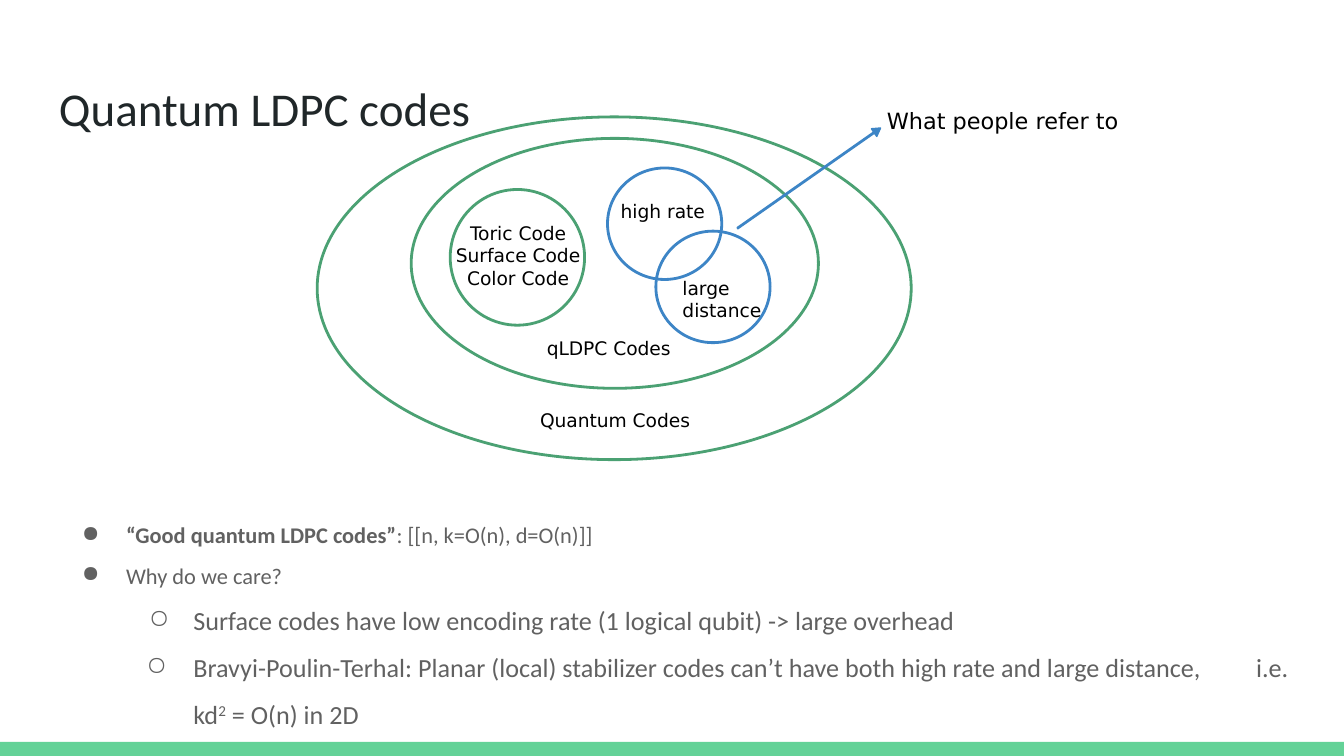
from lxml import etree
from pptx import Presentation
from pptx import util as u
from pptx.dml.color import RGBColor
from pptx.enum import shapes, text
from pptx.oxml.ns import qn

HUES = {"bar": "63D297", "title": "202729", "body": "616161",
        "green": "4BA173", "blue": "3D85C6", "black": "000000"}
TITLE = "Quantum LDPC codes"
RINGS = [
    ("green", 2.36, 0.87, 4.42, 2.55),
    ("green", 3.06, 1.03, 3.03, 1.86),
    ("green", 3.35, 1.41, 1, 1.01),
    ("blue", 4.52, 1.25, 0.85, 0.83),
    ("blue", 4.88, 1.72, 0.85, 0.83),
]
LABELS = [
    (["Quantum Codes"], (3.92, 2.96, 1.37, 0.37), {}),
    (["qLDPC Codes"], (3.97, 2.42, 1.37, 0.37), {}),
    (["Toric Code", "Surface Code", "Color Code"],
     (3.17, 1.55, 1.37, 0.71), {"align": text.PP_ALIGN.CENTER}),
    (["high rate"], (4.52, 1.4, 1.37, 0.37), {}),
    (["large distance"], (4.98, 1.96, 0.93, 0.54), {}),
    (["What people refer to"], (6.5, 0.7, 2.06, 0.4), {"size": 12}),
]
POINTS = [
    (0, 0.33, [("“Good quantum LDPC codes”", "bold"),
               (": [[n, k=O(n), d=O(n)]]", "")]),
    (0, 0.33, [("Why do we care?", "")]),
    (1, 0.33, [("Surface codes have low encoding rate (1 logical qubit)"
                " -> large overhead", "")]),
    (1, 0.35, [("Bravyi-Poulin-Terhal: Planar (local) stabilizer codes can’t"
                " have both high rate and large distance,", ""),
               (" ", "wide"), ("i.e. kd", ""),
               ("2", "super"), (" = O(n) in 2D", "")]),
]
BULLETS = "●○"
EXTRAS = {"super": ("baseline", "30000"), "wide": ("spc", "2570")}


def hue(name):
    return RGBColor.from_string(HUES[name])


def add_run(para, words, size=10, font="DejaVu Sans", color="black", style=""):
    run = para.add_run()
    run.text = words
    run.font.size = u.Pt(size)
    run.font.name = font
    run.font.color.rgb = hue(color)
    run.font.bold = style == "bold"
    if style in EXTRAS:
        run._r.get_or_add_rPr().set(*EXTRAS[style])


def add_box(home, at):
    frame = home.add_textbox(*map(u.Inches, at)).text_frame
    frame.word_wrap = True
    for side in ("left", "top", "right", "bottom"):
        setattr(frame, "margin_" + side, u.Inches(0.1))
    return frame


def add_text(home, lines, at, align=text.PP_ALIGN.LEFT, **style):
    frame = add_box(home, at)
    for i, line in enumerate(lines):
        para = frame.add_paragraph() if i else frame.paragraphs[0]
        para.alignment = align
        add_run(para, line, **style)


def add_form(home, kind, at, fill=None, line=None, width=1.5):
    form = home.add_shape(kind, *map(u.Inches, at))
    form.shadow.inherit = False
    if fill:
        form.fill.solid()
        form.fill.fore_color.rgb = hue(fill)
    else:
        form.fill.background()
    if line:
        form.line.color.rgb = hue(line)
        form.line.width = u.Pt(width)
    else:
        form.line.fill.background()
    return form


def set_bullet(para, level, hang):
    para.level = level
    para.line_spacing = 1.5
    props = para._p.get_or_add_pPr()
    props.set("marL", str(u.Inches(0.5 + level * 0.5)))
    props.set("indent", str(-u.Inches(hang)))
    color = etree.SubElement(props, qn("a:buClr"))
    etree.SubElement(color, qn("a:srgbClr"), val=HUES["body"])
    etree.SubElement(props, qn("a:buChar"), char=BULLETS[level])


def add_points(home, at):
    frame = add_box(home, at)
    for i, (level, hang, runs) in enumerate(POINTS):
        para = frame.add_paragraph() if i else frame.paragraphs[0]
        set_bullet(para, level, hang)
        for words, style in runs:
            add_run(para, words, size=12 + 2 * level, font="Calibri",
                    color="body", style=style)


def main():
    deck = Presentation()
    deck.slide_width = u.Inches(10)
    deck.slide_height = deck.slide_width * 9 // 16
    slide = deck.slides.add_slide(deck.slide_layouts[6])
    kinds = shapes.MSO_SHAPE
    add_form(slide.shapes, kinds.RECTANGLE, (0, 5.52, 10, 0.11), fill="bar")
    add_text(slide.shapes, [TITLE], (0.34, 0.49, 9.32, 0.63),
             size=25.2, font="Calibri", color="title")
    add_points(slide.shapes, (0.34, 3.68, 9.47, 1.85))

    venn = slide.shapes.add_group_shape().shapes
    for color, *at in RINGS:
        add_form(venn, kinds.OVAL, at, line=color)
    for lines, at, style in LABELS:
        add_text(venn, lines, at, **style)
    arrow = add_form(venn, kinds.RIGHT_ARROW, (5.37, 1.29, 1.3, 0.07),
                     fill="blue", line="blue", width=0.75)
    arrow.rotation = 325
    arrow.adjustments[0], arrow.adjustments[1] = 0.155, 0.844
    deck.save("out.pptx")


if __name__ == "__main__":
    main()
